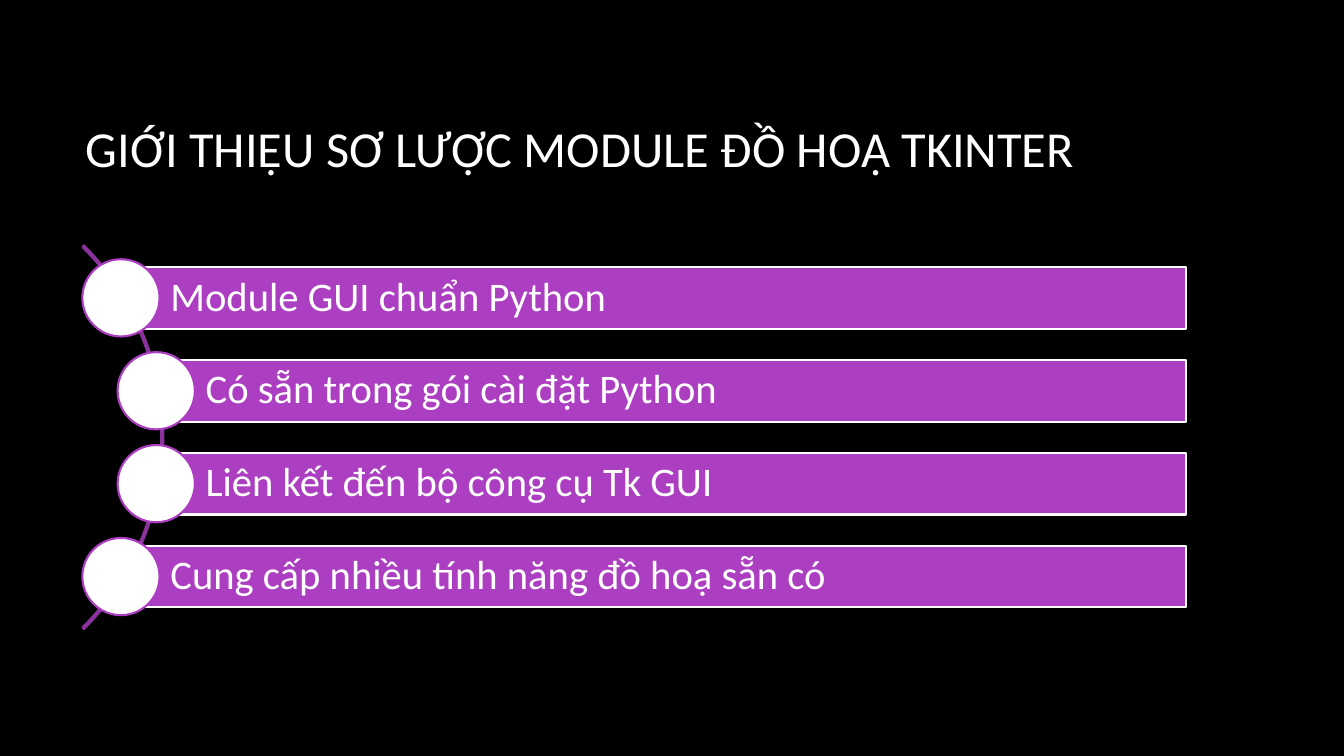
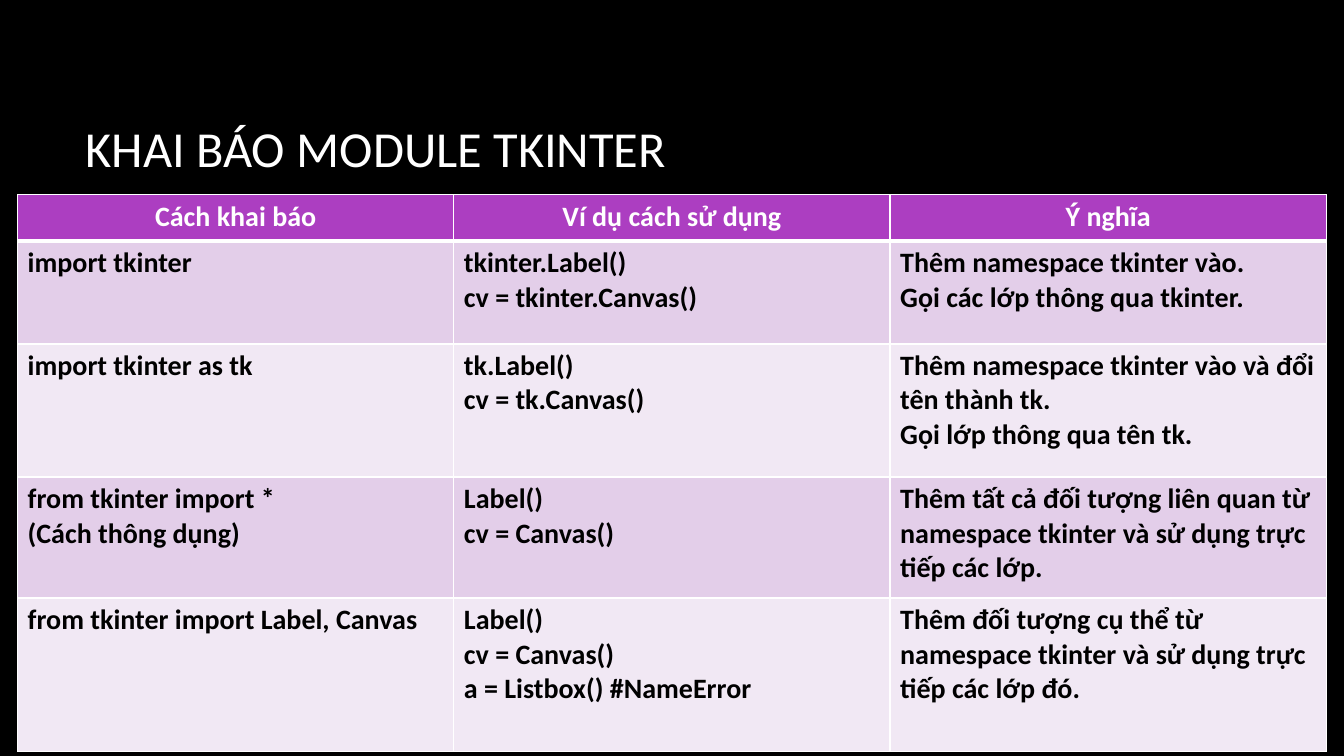
from lxml.etree import SubElement
from pptx import Presentation
from pptx.dml.color import RGBColor
from pptx.enum.shapes import MSO_SHAPE as Preset
from pptx.enum.text import MSO_ANCHOR as Anchor, MSO_AUTO_SIZE as AutoSize, PP_ALIGN as Align
from pptx.oxml.ns import qn
from pptx.util import Emu, Inches, Pt

COLORS = {
    "background": "000000",
    "light": "FFFFFF",
    "dark": "000000",
    "accent": "AC3EC1",
    "arc": "8A329B",
    "band_dark": "E3CEE9",
    "band_light": "F1E8F4",
}
FONT = "Calibri"
COLUMNS, ROWS = 160, 90

FEATURES = [
    "Module GUI chuẩn Python",
    "Có sẵn trong gói cài đặt Python",
    "Liên kết đến bộ công cụ Tk GUI",
    "Cung cấp nhiều tính năng đồ hoạ sẵn có",
]

# Each cell is a list of paragraphs; a newline is a break inside a paragraph
DECLARATIONS = [
    [["Cách khai báo"], ["Ví dụ cách sử dụng"], ["Ý nghĩa"]],
    [["import tkinter"],
     ["tkinter.Label()", "cv = tkinter.Canvas()"],
     ["Thêm namespace tkinter vào.\nGọi các lớp thông qua tkinter."]],
    [["import tkinter as tk"],
     ["tk.Label()", "cv = tk.Canvas()"],
     ["Thêm namespace tkinter vào và đổi tên thành tk.", "Gọi lớp thông qua tên tk."]],
    [["from tkinter import *\n(Cách thông dụng)"],
     ["Label()", "cv = Canvas()"],
     ["Thêm tất cả đối tượng liên quan từ namespace tkinter và sử dụng trực tiếp các lớp."]],
    [["from tkinter import Label, Canvas"],
     ["Label()", "cv = Canvas()\na = Listbox() #NameError"],
     ["Thêm đối tượng cụ thể từ namespace tkinter và sử dụng trực tiếp các lớp đó."]],
]


def rgb(name):
    return RGBColor.from_string(COLORS[name])


class Deck:
    """Holds the shared style and the current slide; lengths are grid columns and rows."""

    def __init__(self):
        self.prs = Presentation()
        self.prs.slide_width, self.prs.slide_height = Inches(13.333), Inches(7.5)
        self.col = self.prs.slide_width / COLUMNS
        self.row = self.prs.slide_height / ROWS
        self.slide = None

    def box(self, left, top, width, height):
        return (Emu(round(left * self.col)), Emu(round(top * self.row)),
                Emu(round(width * self.col)), Emu(round(height * self.row)))

    def new_slide(self, title):
        self.slide = self.prs.slides.add_slide(self.prs.slide_layouts[5])
        background = self.slide.background.fill
        background.solid()
        background.fore_color.rgb = rgb("background")
        heading = self.slide.shapes.title
        heading.left, heading.top, heading.width, heading.height = self.box(9, 8, 133, 19)
        heading.text_frame.auto_size = AutoSize.NONE
        heading.text_frame.vertical_anchor = Anchor.MIDDLE
        self.add_text(heading.text_frame, [title], 36, "light")

    def add_text(self, frame, paragraphs, size, color, bold=False, align=Align.LEFT, spacing=None):
        frame.word_wrap = True
        for index, text in enumerate(paragraphs):
            paragraph = frame.add_paragraph() if index else frame.paragraphs[0]
            paragraph.alignment = align
            if spacing:
                paragraph.line_spacing = spacing
            for number, line in enumerate(text.split("\n")):
                if number:
                    paragraph.add_line_break()
                run = paragraph.add_run()
                run.text = line
                run.font.name, run.font.size, run.font.bold = FONT, Pt(size), bold
                run.font.color.rgb = rgb(color)

    def shape(self, preset, box, fill, line):
        shape = self.slide.shapes.add_shape(preset, *self.box(*box))
        shape.shadow.inherit = False
        if fill:
            shape.fill.solid()
            shape.fill.fore_color.rgb = rgb(fill)
        else:
            shape.fill.background()
        shape.line.color.rgb = rgb(line)
        shape.line.width = Pt(1.5)
        return shape

    def arc(self, left, middle, size):
        arc = self.shape(Preset.BLOCK_ARC, (left, middle - size / 2, size, size), None, "arc")
        for index, value in enumerate((189, 27, 0.004)):
            arc.adjustments[index] = value

    def bar(self, text, left, right, middle, height, dot):
        bar = self.shape(Preset.RECTANGLE, (left, middle - height / 2, right - left, height),
                         "accent", "light")
        frame = bar.text_frame
        frame.vertical_anchor = Anchor.MIDDLE
        frame.margin_left = Inches(0.49)
        frame.margin_top = frame.margin_right = frame.margin_bottom = Inches(0.08)
        self.add_text(frame, [text], 29, "light", spacing=0.9)
        self.shape(Preset.OVAL, (left - dot / 2, middle - dot / 2, dot, dot), "light", "accent")

    def border(self, cell, weights):
        properties = cell._tc.get_or_add_tcPr()
        for index, (side, weight) in enumerate(zip("LRTB", weights)):
            line = SubElement(properties, qn(f"a:ln{side}"), w=str(Pt(weight)))
            fill = SubElement(line, qn("a:solidFill"))
            SubElement(fill, qn("a:srgbClr"), val=COLORS["light"])
            properties.insert(index, line)  # borders come before the fill

    def table(self, content, left, top, width, heights):
        table = self.slide.shapes.add_table(
            len(content), len(content[0]), *self.box(left, top, width, sum(heights))).table
        for r, (cells, height) in enumerate(zip(content, heights)):
            table.rows[r].height = Emu(round(height * self.row))
            header = r == 0
            band = "accent" if header else ("band_light", "band_dark")[r % 2]
            for c, paragraphs in enumerate(cells):
                cell = table.cell(r, c)
                cell.fill.solid()
                cell.fill.fore_color.rgb = rgb(band)
                self.border(cell, (1, 1, 3 if r == 1 else 1, 3 if header else 1))
                self.add_text(cell.text_frame, paragraphs, 20, "light" if header else "dark",
                              bold=True, align=Align.CENTER if header else Align.LEFT)


def main():
    deck = Deck()

    # Introduction: bars strung along an arc
    deck.new_slide("GIỚI THIỆU SƠ LƯỢC MODULE ĐỒ HOẠ TKINTER")
    center, pitch = 52.05, 11.06
    deck.arc(-45.1, center, 64.56)
    for index, feature in enumerate(FEATURES):
        at_end = index in (0, len(FEATURES) - 1)
        middle = center + (index - (len(FEATURES) - 1) / 2) * pitch
        deck.bar(feature, 14.4 if at_end else 18.6, 141.25, middle, height=7.35, dot=9.2)

    # Import styles: table of declarations
    deck.new_slide("KHAI BÁO MODULE TKINTER")
    deck.table(DECLARATIONS, 2.1, 23.2, 155.8, (5.5, 12.25, 15.85, 14.4, 18.25))

    deck.prs.save("out.pptx")


if __name__ == "__main__":
    main()
